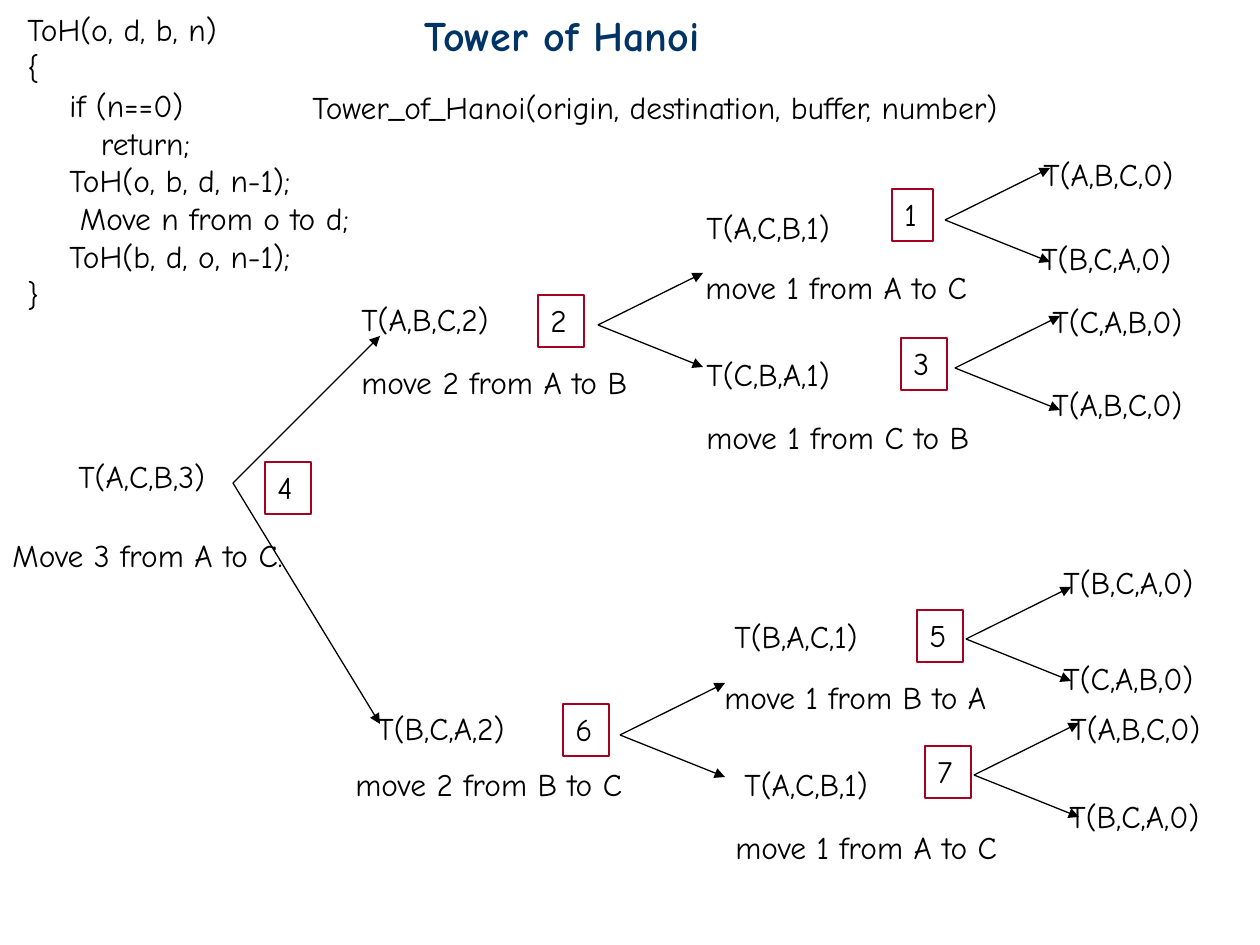
from pptx import Presentation
from pptx.dml.color import RGBColor
from pptx.enum.shapes import MSO_CONNECTOR, MSO_SHAPE
from pptx.enum.text import MSO_ANCHOR, MSO_AUTO_SIZE, PP_ALIGN
from pptx.oxml.ns import qn
from pptx.util import Pt
from lxml.etree import SubElement

PX = 914400 / 126
FONT = "Comic Neue"
COLORS = {"title": "003366", "text": "000000", "box": "A50021"}


def put_text(s, box, lines, size=18, color="text", bold=False):
    """Place a shape at a px box and fill it with left-aligned lines."""
    s.left, s.top, s.width, s.height = [round(v * PX) for v in box]
    tf = s.text_frame
    tf.word_wrap = False
    tf.auto_size = MSO_AUTO_SIZE.SHAPE_TO_FIT_TEXT
    tf.vertical_anchor = MSO_ANCHOR.TOP
    for i, line in enumerate(lines):
        p = tf.add_paragraph() if i else tf.paragraphs[0]
        p.alignment = PP_ALIGN.LEFT
        r = p.add_run()
        r.text = line
        r.font.name = FONT
        r.font.size = Pt(size)
        r.font.bold = bold
        r.font.color.rgb = RGBColor.from_string(COLORS[color])


def add_arrow(x1, y1, x2, y2):
    c = shapes.add_connector(MSO_CONNECTOR.STRAIGHT, *[round(v * PX) for v in (x1, y1, x2, y2)])
    c.line.color.rgb = RGBColor.from_string(COLORS["text"])
    c.line.width = Pt(0.75)
    SubElement(c.line._get_or_add_ln(), qn("a:tailEnd"), type="triangle")
    SubElement(c._element.spPr, qn("a:effectLst"))


prs = Presentation()
prs.slide_width, prs.slide_height = round(1260 * PX), round(945 * PX)
slide = prs.slides.add_slide(prs.slide_layouts[5])
shapes = slide.shapes

# Title
put_text(shapes.title, (412, 3, 340, 63), ["Tower of Hanoi"], 24, "title", True)

# Signature, calls and moves: text, left, top, width
labels = [
    ("Tower_of_Hanoi(origin, destination, buffer, number)", 300, 82, 804),
    ("T(A,C,B,3)", 66, 451, 178),
    ("Move 3 from A to C.", 0, 530, 323),
    ("T(A,B,C,2)", 349, 294, 178),
    ("move 2 from A to B", 349, 357, 312),
    ("T(B,C,A,2)", 365, 703, 178),
    ("move 2 from B to C", 343, 759, 307),
    ("T(A,C,B,1)", 694, 202, 173),
    ("move 1 from A to C", 693, 262, 306),
    ("T(C,B,A,1)", 694, 349, 173),
    ("move 1 from C to B", 694, 412, 302),
    ("T(B,A,C,1)", 722, 611, 173),
    ("move 1 from B to A", 712, 672, 307),
    ("T(A,C,B,1)", 732, 759, 173),
    ("move 1 from A to C", 723, 822, 306),
    # Base cases
    ("T(A,B,C,0)", 1031, 149, 179),
    ("T(B,C,A,0)", 1029, 233, 179),
    ("T(C,A,B,0)", 1040, 296, 179),
    ("T(A,B,C,0)", 1040, 379, 179),
    ("T(B,C,A,0)", 1051, 557, 179),
    ("T(C,A,B,0)", 1051, 653, 179),
    ("T(A,B,C,0)", 1058, 703, 179),
    ("T(B,C,A,0)", 1057, 791, 179),
]
for text, x, y, w in labels:
    put_text(shapes.add_textbox(0, 0, 0, 0), (x, y, w, 50), [text])

# Order of the moves, numbered 1 to 7: left, top, width
boxes = [(892, 189, 41), (538, 295, 46), (901, 338, 46), (265, 462, 46),
         (917, 610, 46), (563, 704, 46), (925, 746, 46)]
for number, (x, y, w) in enumerate(boxes, 1):
    s = shapes.add_shape(MSO_SHAPE.RECTANGLE, 0, 0, 0, 0)
    s.shadow.inherit = False
    s.fill.background()
    s.line.color.rgb = RGBColor.from_string(COLORS["box"])
    s.line.width = Pt(0.75)
    put_text(s, (x, y, w, 52), [str(number)])

# Forks: the root spreads wide, the others share one form
add_arrow(233, 483, 380, 336)
add_arrow(233, 483, 380, 724)
for x, y in [(598, 325), (620, 735), (945, 220), (955, 368), (966, 639), (974, 775)]:
    for rise in (-52, 42):
        add_arrow(x, y, x + 105, y + rise)

# Pseudocode
code = [
    "ToH(o, d, b, n)",
    "{",
    "    if (n==0)",
    "       return;",
    "    ToH(o, b, d, n-1);",
    "     Move n from o to d;",
    "    ToH(b, d, o, n-1);",
    "}",
]
put_text(shapes.add_textbox(0, 0, 0, 0), (15, 4, 368, 318), code)

prs.save("out.pptx")
